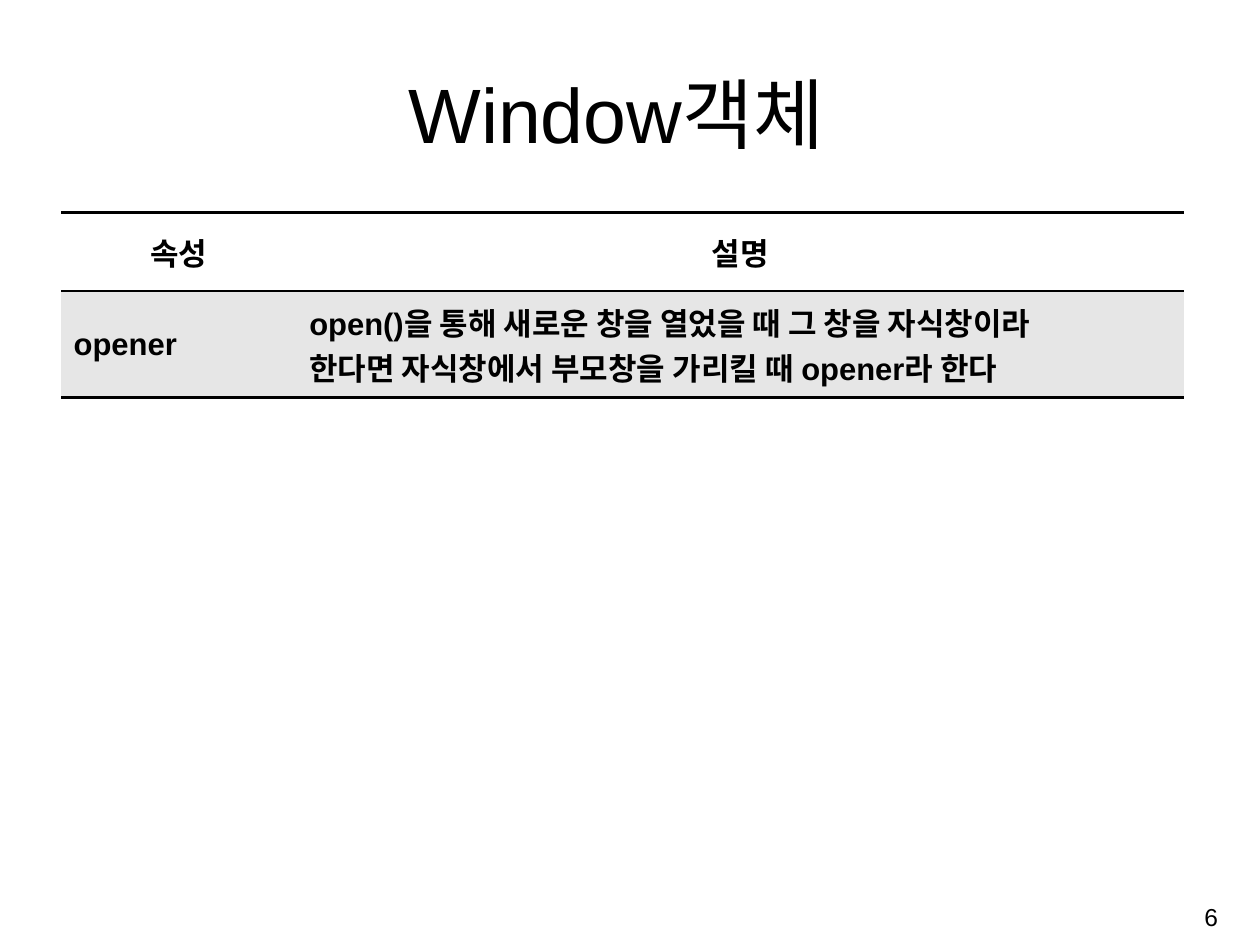
from lxml import etree
from pptx import Presentation
from pptx import util as u
from pptx.dml.color import RGBColor
from pptx.enum import text
from pptx.oxml.ns import qn

COLORS = {"ink": "000000", "paper": "FFFFFF", "band": "E6E6E6"}
FONT = "Arial"
ROWS = [
    ["속성", "설명"],
    [
        "opener",
        "open()을 통해 새로운 창을 열었을 때 그 창을 자식창이라\n"
        "한다면 자식창에서 부모창을 가리킬 때 opener라 한다",
    ],
]


def write(frame, content, size, bold=False, align=text.PP_ALIGN.LEFT):
    frame.word_wrap = True
    for index, line in enumerate(content.split("\n")):
        para = frame.add_paragraph() if index else frame.paragraphs[0]
        para.alignment = align
        span = para.add_run()
        span.text = line
        span.font.name = FONT
        span.font.size = u.Pt(size)
        span.font.bold = bold
        span.font.color.rgb = RGBColor.from_string(COLORS["ink"])


def add_label(page, box, content, anchor, **style):
    label = page.shapes.add_textbox(*box)
    label.text_frame.vertical_anchor = anchor
    write(label.text_frame, content, **style)


def set_borders(cell, widths):
    properties = cell._tc.get_or_add_tcPr()
    for index, (side, width) in enumerate(widths.items()):
        line = etree.Element(qn(f"a:{side}"), w=str(u.Pt(width)))
        if width:
            fill = etree.SubElement(line, qn("a:solidFill"))
            etree.SubElement(fill, qn("a:srgbClr"), val=COLORS["ink"])
        else:
            etree.SubElement(line, qn("a:noFill"))
        properties.insert(index, line)


def add_property_table(page, box):
    left, top, width, height = box
    table = page.shapes.add_table(len(ROWS), len(ROWS[0]), *box).table
    table.first_row = table.horz_banding = False
    table.columns[0].width = u.Cm(6.17)
    table.columns[1].width = width - u.Cm(6.17)
    table.rows[0].height = u.Cm(2.06)
    table.rows[1].height = height - u.Cm(2.06)
    for row, contents in enumerate(ROWS):
        for column, content in enumerate(contents):
            cell = table.cell(row, column)
            cell.vertical_anchor = text.MSO_ANCHOR.MIDDLE
            cell.margin_left = cell.margin_right = u.Cm(0.33)
            cell.margin_top = cell.margin_bottom = u.Cm(0.16)
            cell.fill.solid()
            cell.fill.fore_color.rgb = RGBColor.from_string(COLORS["band" if row else "paper"])
            set_borders(cell, {"lnL": 0, "lnR": 0, "lnT": 2, "lnB": 2})
            align = text.PP_ALIGN.LEFT if row else text.PP_ALIGN.CENTER
            write(cell.text_frame, content, size=23, bold=True, align=align)


def main():
    deck = Presentation()
    deck.slide_width, deck.slide_height = u.Cm(33), u.Cm(24.74)
    page = deck.slides.add_slide(deck.slide_layouts[6])
    add_label(
        page, (u.Cm(2.67), u.Cm(1.55), u.Cm(26.95), u.Cm(2.74)), "Window객체",
        text.MSO_ANCHOR.BOTTOM, size=57.2, align=text.PP_ALIGN.CENTER,
    )
    add_property_table(page, (u.Cm(1.6), u.Cm(5.56), u.Cm(29.41), u.Cm(4.85)))
    add_label(
        page, (u.Cm(25.35), u.Cm(23.24), u.Cm(6.8), u.Cm(1.52)), "6",
        text.MSO_ANCHOR.MIDDLE, size=18.2, align=text.PP_ALIGN.RIGHT,
    )
    deck.save("out.pptx")


if __name__ == "__main__":
    main()
